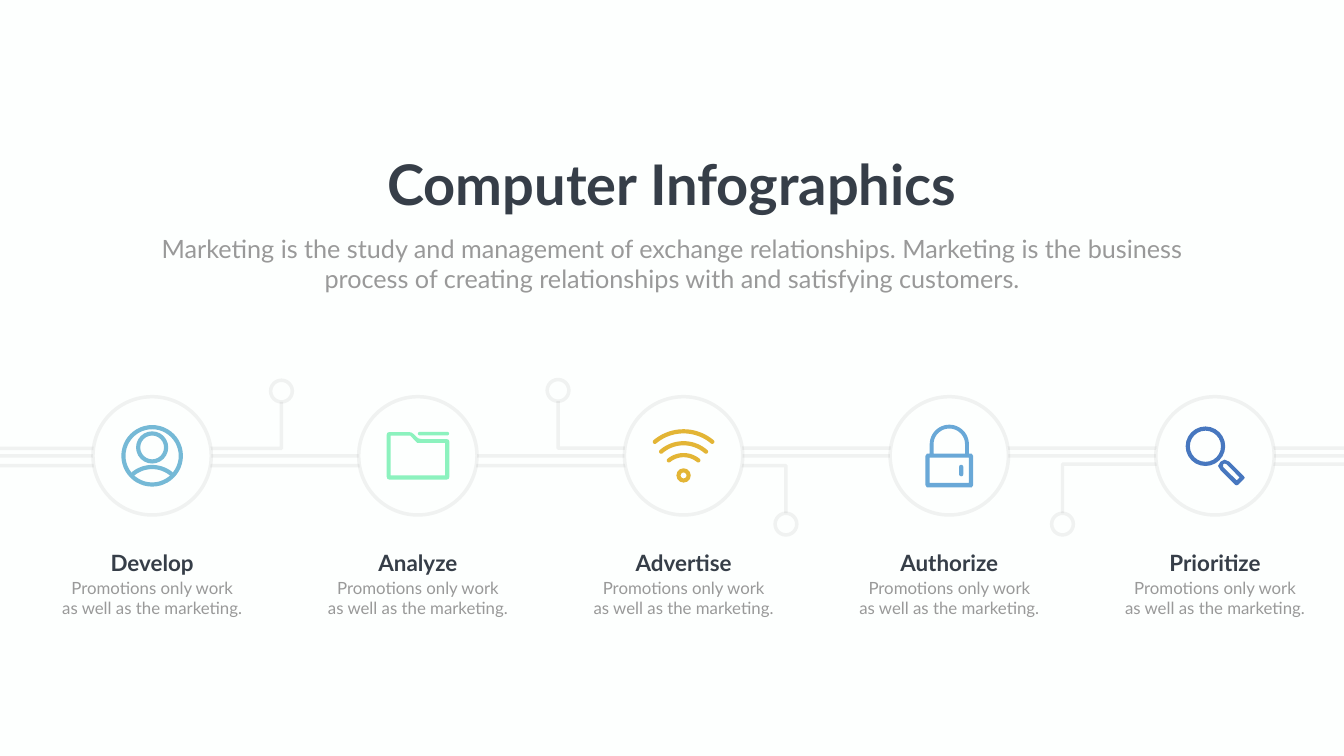
from dataclasses import dataclass
from math import asin, cos, pi, sin

from pptx import Presentation
from pptx.dml.color import RGBColor
from pptx.enum.shapes import MSO_CONNECTOR, MSO_SHAPE
from pptx.enum.text import MSO_ANCHOR, MSO_AUTO_SIZE, PP_ALIGN
from pptx.oxml.ns import qn
from pptx.util import Pt
from lxml.etree import SubElement


@dataclass(frozen=True)
class Theme:
    font: str = "Lato"
    background: str = "FDFFFE"
    dark: str = "363E48"
    muted: str = "999999"
    circuit: str = "808080"
    circuit_opacity: int = 10
    circuit_width: float = 5
    person: str = "75B9D6"
    folder: str = "8CF2BE"
    signal: str = "E3B535"
    lock: str = "69A8D7"
    lens: str = "4777BF"
    title_size: float = 80
    intro_size: float = 36
    label_size: float = 32
    caption_size: float = 24
    stroke: float = 6


THEME = Theme()
WIDTH, HEIGHT = 1919.52, 1080
AXIS_Y = 651.2
FIRST_X, PITCH = 217.3, 379.5
NODE_SIZE, TERMINAL_SIZE = 169, 31
CAPTION = "Promotions only work\nas well as the marketing."


def color(value):
    return RGBColor.from_string(value)


def write(box, text, size, ink, bold=False, wrap=True):
    frame = box.text_frame
    frame.word_wrap = wrap
    frame.auto_size = MSO_AUTO_SIZE.NONE
    frame.vertical_anchor = MSO_ANCHOR.TOP
    frame.text = text
    for para in frame.paragraphs:
        para.alignment = PP_ALIGN.CENTER
        para.space_before = Pt(0)
        para.font.name = THEME.font
        para.font.size = Pt(size)
        para.font.bold = bold
        para.font.color.rgb = color(ink)


def place(box, left, top, width, height):
    box.left, box.top, box.width, box.height = map(Pt, (left, top, width, height))


def paint(shape, ink):
    shape.shadow.inherit = False
    shape.fill.solid()
    shape.fill.fore_color.rgb = color(ink)
    shape.line.fill.background()


def trace(shape):
    """Give a shape the pale translucent circuit line."""
    shape.line.color.rgb = color(THEME.circuit)
    shape.line.width = Pt(THEME.circuit_width)
    for tint in shape.element.xpath(".//a:ln//a:srgbClr"):
        SubElement(tint, qn("a:alpha"), val=str(THEME.circuit_opacity * 1000))


def preset(page, kind, x, y, width, height):
    """Add a preset shape centred on x, y."""
    return page.shapes.add_shape(
        kind, Pt(x - width / 2), Pt(y - height / 2), Pt(width), Pt(height))


def outline(page, x, y, *contours, closed=True):
    """Build one freeform from contours given relative to x, y."""
    builder = None
    for contour in contours:
        points = [(Pt(x + dx), Pt(y + dy)) for dx, dy in contour]
        if builder is None:
            builder = page.shapes.build_freeform(*points[0])
        else:
            builder.move_to(*points[0])
        builder.add_line_segments(points[1:], close=closed)
    return builder.convert_to_shape()


def arc(x, y, radius, start, end, steps=24):
    """Points on an arc; angles run clockwise from straight up."""
    angles = [start + (end - start) * i / steps for i in range(steps + 1)]
    return [(x + radius * sin(a), y - radius * cos(a)) for a in angles]


def soften(points, cut=4):
    """Round the corners of a polygon."""
    result = []
    for i, (x, y) in enumerate(points):
        ends = []
        for nx, ny in (points[i - 1], points[(i + 1) % len(points)]):
            part = cut / ((nx - x) ** 2 + (ny - y) ** 2) ** 0.5
            ends.append((x + (nx - x) * part, y + (ny - y) * part))
        (ax, ay), (bx, by) = ends
        result += [ends[0], ((ax + 2 * x + bx) / 4, (ay + 2 * y + by) / 4), ends[1]]
    return result


def ring(page, x, y, size, ink):
    donut = preset(page, MSO_SHAPE.DONUT, x, y, size, size)
    donut.adjustments[0] = THEME.stroke / size
    paint(donut, ink)


def pill(page, x, y, width, height, ink):
    bar = preset(page, MSO_SHAPE.ROUNDED_RECTANGLE, x, y, width, height)
    bar.adjustments[0] = 0.5
    paint(bar, ink)


def arch(page, x, top, half_chord, rise, ink):
    """Curved band with round ends, its middle line peaking at x, top."""
    radius = (half_chord ** 2 + rise ** 2) / (2 * rise)
    angle, half, middle = asin(half_chord / radius), THEME.stroke / 2, top + radius
    base = middle - radius * cos(angle)
    band = (arc(0, middle, radius + half, -angle, angle)
            + arc(half_chord, base, half, angle, angle + pi, 8)
            + arc(0, middle, radius - half, angle, -angle)
            + arc(-half_chord, base, half, pi - angle, 2 * pi - angle, 8))
    paint(outline(page, x, 0, band), ink)


def person_icon(page, x, y):
    ring(page, x, y, 88, THEME.person)
    arch(page, x, y + 16, 27, 9.5, THEME.person)
    ring(page, x, y - 12, 46, THEME.person)


def folder_icon(page, x, y):
    outer = [(-44.5, -34), (-9, -34), (1, -24), (45, -24), (45, 34), (-44.5, 34)]
    inner = [(-39, -29), (-11, -29), (-1, -18.5), (39, -18.5), (39, 28), (-39, 28)]
    paint(outline(page, x, y, soften(outer), inner), THEME.folder)
    pill(page, x + 22.3, y - 31.7, 44.6, 5, THEME.folder)


def signal_icon(page, x, y):
    for top, half_chord, rise in ((-35, 41, 15), (-18, 32, 12), (-1, 21, 7.5)):
        arch(page, x, y + top, half_chord, rise, THEME.signal)
    ring(page, x, y + 28, 20.5, THEME.signal)


def lock_icon(page, x, y):
    turn = pi / 2
    outer = ([(-28, -3)] + arc(0, -16.5, 28, -turn, turn)
             + [(28, -3), (32, -3), (34, 0), (34, 42), (32, 45),
                (-32, 45), (-34, 42), (-34, 0), (-32, -3)])
    shackle = [(-22.5, -3)] + arc(0, -16.5, 22.5, -turn, turn) + [(22.5, -3)]
    body = [(-28, 2.5), (28, 2.5), (28, 38.5), (-28, 38.5)]
    paint(outline(page, x, y, outer, shackle, body), THEME.lock)
    pill(page, x + 17, y + 21, 6, 16.5, THEME.lock)


def lens_icon(page, x, y):
    outer = [(8, 20.5), (4.3, 14.4), (8, 8.3), (13.7, 5.4), (20.2, 8.3), (41, 29),
             (42.5, 31.3), (41, 33.5), (33, 41.4), (31, 42.1), (28.8, 41.4)]
    inner = [(11.5, 16), (31, 35), (35.3, 31), (16.6, 12), (13.7, 11), (11.5, 12)]
    paint(outline(page, x, y, outer, inner), THEME.lens)
    ring(page, x - 13.7, y - 13.7, 56.5, THEME.lens)


def add_heading(page, left, top, width):
    title, intro = page.shapes.title, page.placeholders[1]
    place(title, left, top, width, 104.4)
    write(title, "Computer Infographics", THEME.title_size, THEME.dark,
          bold=True, wrap=False)
    place(intro, left, top + 119.5, width, 94.3)
    write(intro, "Marketing is the study and management of exchange relationships. "
          "Marketing is the business process of creating relationships with and "
          "satisfying customers.", THEME.intro_size, THEME.muted)


def add_circuit(page, left, y, width):
    right = left + width
    branches = ((402, -10.5, -92.5, left), (797, -11, -93.5, right),
                (1122.5, 14, 97.5, left), (1517.5, 12, 97.5, right))
    for x, bend, end, edge in branches:
        terminal = preset(page, MSO_SHAPE.OVAL, left + x, y + end,
                          TERMINAL_SIZE, TERMINAL_SIZE)
        reach = end - TERMINAL_SIZE / 2 * (1 if end > 0 else -1)
        wire = outline(page, left + x, y, [(0, reach), (0, bend),
                       (edge - left - x, bend)], closed=False)
        for shape in (terminal, wire):
            shape.shadow.inherit = False
            shape.fill.background()
            trace(shape)
    axis = page.shapes.add_connector(
        MSO_CONNECTOR.STRAIGHT, Pt(left), Pt(y), Pt(right), Pt(y))
    trace(axis)
    SubElement(axis.element.spPr, qn("a:effectLst"))


def add_stage(page, x, y, label, draw_icon):
    node = preset(page, MSO_SHAPE.OVAL, x, y, NODE_SIZE, NODE_SIZE)
    paint(node, THEME.background)
    trace(node)
    draw_icon(page, x, y)
    rows = ((label, 130, 181, 46, THEME.label_size, THEME.dark, True),
            (CAPTION, 170.3, 279, 65.5, THEME.caption_size, THEME.muted, False))
    for text, drop, width, height, size, ink, bold in rows:
        box = page.shapes.add_textbox(
            Pt(x - width / 2), Pt(y + drop), Pt(width), Pt(height))
        write(box, text, size, ink, bold=bold)


def main():
    deck = Presentation()
    deck.slide_width, deck.slide_height = Pt(WIDTH), Pt(HEIGHT)
    page = deck.slides.add_slide(deck.slide_layouts[0])
    page.background.fill.solid()
    page.background.fill.fore_color.rgb = color(THEME.background)
    add_heading(page, 193, 209.5, 1533.6)
    add_circuit(page, 0, AXIS_Y, WIDTH)
    stages = (("Develop", person_icon), ("Analyze", folder_icon),
              ("Advertise", signal_icon), ("Authorize", lock_icon),
              ("Prioritize", lens_icon))
    for index, (label, draw_icon) in enumerate(stages):
        add_stage(page, FIRST_X + index * PITCH, AXIS_Y, label, draw_icon)
    deck.save("out.pptx")


if __name__ == "__main__":
    main()
